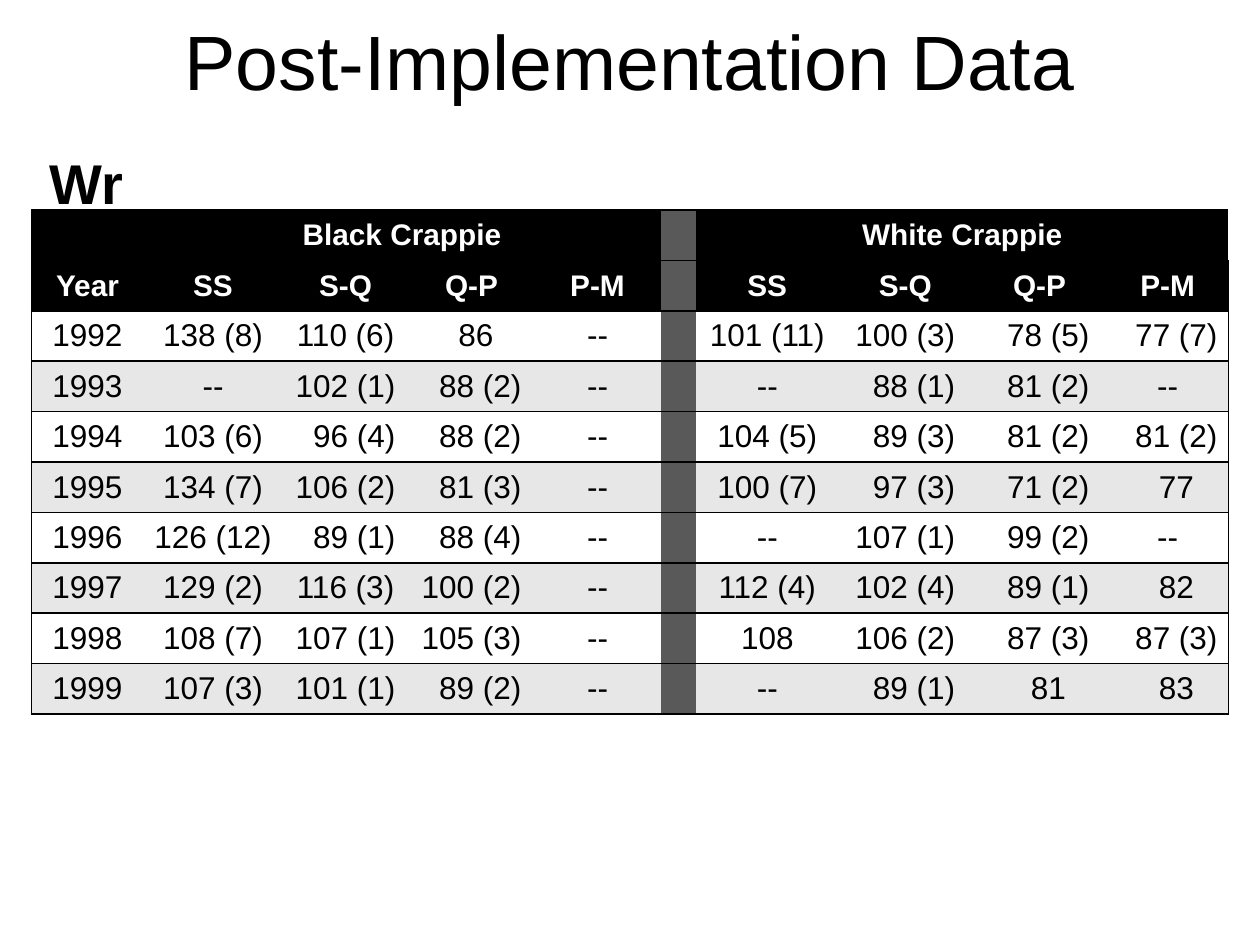
from lxml import etree
from pptx import Presentation
from pptx.dml.color import RGBColor
from pptx.enum import text
from pptx.oxml import ns
from pptx.util import Pt

COLORS = {"black": "000000", "white": "FFFFFF", "band": "E7E7E7", "divider": "595959"}
FONT = "Arial"
PLAIN_STYLE = "{2D5ABB26-0587-4C30-8999-92F81FD0307C}"
COLUMN_WIDTHS = [64, 79.5, 72, 72, 72, 20.3, 81.4, 76.4, 77, 69.4]
ROW_HEIGHT = 28.8
DIVIDER = 5
CELL_INSET = 5
DIGIT_WIDTH = 10  # room for the missing hundreds digit
SIZE_CLASSES = ["SS", "S-Q", "Q-P", "P-M"]
GROUPS = {1: "Black Crappie", 6: "White Crappie"}
DATA = [
    ["1992", "138 (8)", "110 (6)", "86 ", "--", "", "101 (11)", "100 (3)", "78 (5)", "77 (7)"],
    ["1993", "--", "102 (1)", "88 (2)", "--", "", "--", "88 (1)", "81 (2)", "--"],
    ["1994", "103 (6)", "96 (4)", "88 (2)", "--", "", "104 (5)", "89 (3)", "81 (2)", "81 (2)"],
    ["1995", "134 (7)", "106 (2)", "81 (3)", "--", "", "100 (7)", "97 (3)", "71 (2)", "77"],
    ["1996", "126 (12)", "89 (1)", "88 (4)", "--", "", "--", "107 (1)", "99 (2)", "--"],
    ["1997", "129 (2)", "116 (3)", "100 (2)", "--", "", "112 (4)", "102 (4)", "89 (1)", "82"],
    ["1998", "108 (7)", "107 (1)", "105 (3)", "--", "", "108", "106 (2)", "87 (3)", "87 (3)"],
    ["1999", "107 (3)", "101 (1)", "89 (2)", "--", "", "--", "89 (1)", "81", "83"],
]


def color(name):
    return RGBColor.from_string(COLORS[name])


def add_span(para, wording, size, ink="black", bold=False):
    span = para.add_run()
    span.text = wording
    span.font.name = FONT
    span.font.size = Pt(size)
    span.font.bold = bold
    span.font.color.rgb = color(ink)


def add_title(slide, wording):
    title = slide.shapes.title
    title.left, title.top, title.width, title.height = Pt(36), Pt(0), Pt(648), Pt(90)
    frame = title.text_frame
    frame.auto_size = text.MSO_AUTO_SIZE.NONE
    frame.vertical_anchor = text.MSO_ANCHOR.TOP
    frame.margin_top = Pt(8)
    para = frame.paragraphs[0]
    para.alignment = text.PP_ALIGN.CENTER
    add_span(para, wording, 44)


def add_label(slide, wording):
    box = slide.shapes.add_textbox(Pt(21), Pt(78), Pt(57), Pt(46))
    frame = box.text_frame
    frame.word_wrap = False
    frame.margin_top, frame.margin_bottom = Pt(7), Pt(2)
    add_span(frame.paragraphs[0], wording, 32, bold=True)


def add_borders(cell, sides):
    """Draw 1 pt black lines on the given sides, in the order L, R, T, B."""
    properties = cell._tc.get_or_add_tcPr()
    for side in sides:
        line = etree.SubElement(properties, ns.qn(f"a:ln{side}"), w=str(Pt(1)))
        fill = etree.SubElement(line, ns.qn("a:solidFill"))
        etree.SubElement(fill, ns.qn("a:srgbClr"), val=COLORS["black"])


def format_cell(cell, fill, sides, indent=0):
    cell.margin_left, cell.margin_right = Pt(CELL_INSET + indent), Pt(CELL_INSET)
    cell.margin_top = cell.margin_bottom = Pt(0)
    cell.vertical_anchor = text.MSO_ANCHOR.MIDDLE
    add_borders(cell, sides)
    cell.fill.solid()
    cell.fill.fore_color.rgb = color(fill)


def add_crappie_table(slide):
    group_row = [GROUPS.get(column, "") for column in range(len(COLUMN_WIDTHS))]
    class_row = ["Year", *SIZE_CLASSES, "", *SIZE_CLASSES]
    rows = [group_row, class_row, *DATA]
    last = len(COLUMN_WIDTHS) - 1
    frame = slide.shapes.add_table(
        len(rows), len(COLUMN_WIDTHS), Pt(18), Pt(120),
        Pt(sum(COLUMN_WIDTHS)), Pt(ROW_HEIGHT * len(rows)))
    table = frame.table
    table.first_row = table.horz_banding = False
    table._tbl.tblPr.find(ns.qn("a:tableStyleId")).text = PLAIN_STYLE
    for column, width in zip(table.columns, COLUMN_WIDTHS):
        column.width = Pt(width)
    for row in table.rows:
        row.height = Pt(ROW_HEIGHT)

    for r, values in enumerate(rows):
        header = r < 2
        row_fill = "black" if header else ("band" if r % 2 else "white")
        for c, value in enumerate(values):
            cell = table.cell(r, c)
            two_digits = value[:2].isdigit() and not value[2:3].isdigit()
            sides = ["L"] * (c == 0) + ["R"] * (c == last) + ["T", "B"]
            format_cell(cell, "divider" if c == DIVIDER else row_fill, sides,
                        DIGIT_WIDTH if two_digits else 0)
            if value:
                para = cell.text_frame.paragraphs[0]
                para.alignment = text.PP_ALIGN.CENTER
                add_span(para, value, 17 if header else 18,
                         "white" if header else "black", header)
    for start in GROUPS:
        table.cell(0, start).merge(table.cell(0, start + len(SIZE_CLASSES) - 1))


def main():
    deck = Presentation()
    deck.slide_width, deck.slide_height = Pt(720), Pt(540)
    slide = deck.slides.add_slide(deck.slide_layouts[5])
    add_crappie_table(slide)
    add_title(slide, "Post-Implementation Data")
    add_label(slide, "Wr")
    deck.save("out.pptx")


if __name__ == "__main__":
    main()
